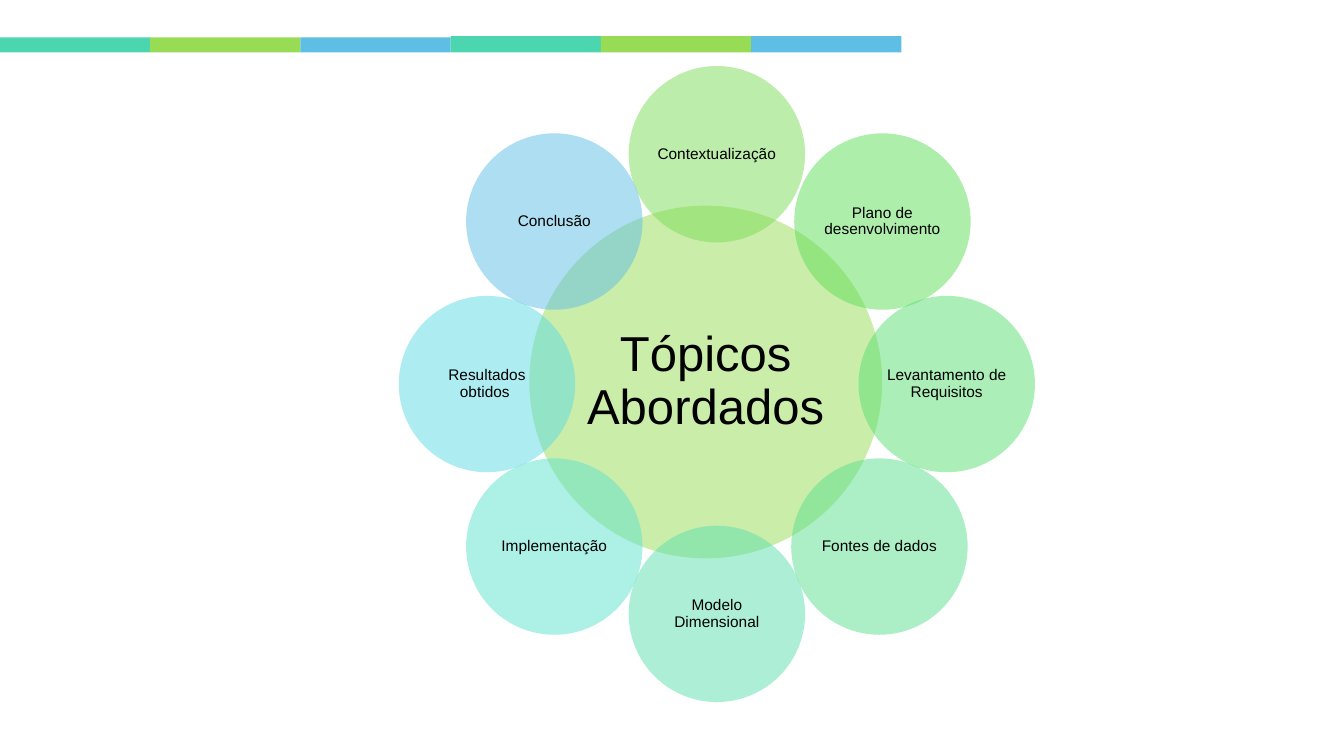
import math

from lxml import etree
from pptx import Presentation
from pptx.dml.color import RGBColor
from pptx.enum.shapes import MSO_SHAPE
from pptx.enum.text import MSO_ANCHOR, MSO_AUTO_SIZE, PP_ALIGN
from pptx.oxml.ns import qn
from pptx.util import Inches, Pt

RECTANGLE = MSO_SHAPE.RECTANGLE
OVAL = MSO_SHAPE.OVAL
MIDDLE = MSO_ANCHOR.MIDDLE
CENTER = PP_ALIGN.CENTER
NO_AUTOFIT = MSO_AUTO_SIZE.NONE
TITLE_ONLY = 5

COLORS = {
    "text": "000000",
    "teal": "4CD6B0",
    "lime": "98DC56",
    "blue": "5EBEE4",
}
STRIPE = ("teal", "lime", "blue")
STRIPE_WIDTH = 1.49

TOPICS = [
    ("Contextualização", "7BDD57", 0),
    ("Plano de desenvolvimento", "5EDE58", 0.03),
    ("Levantamento de Requisitos", "59DF70", 0),
    ("Fontes de dados", "5AE08F", 0),
    ("Modelo Dimensional", "5BE1AE", 0),
    ("Implementação", "5CE2CD", 0),
    ("Resultados obtidos ", "5DDBE3", 0),
    ("Conclusão", COLORS["blue"], 0),
]
RING_X, RING_Y, RING_RADIUS = 7.11, 3.81, 2.28
HUB_X, HUB_Y, HUB_SIZE = 7, 3.79, 3.5
TOPIC_SIZE = 1.75


def add_filled(slide, kind, left, top, width, height, color):
    shape = slide.shapes.add_shape(
        kind, Inches(left), Inches(top), Inches(width), Inches(height))
    shape.shadow.inherit = False
    shape.fill.solid()
    shape.fill.fore_color.rgb = RGBColor.from_string(color)
    shape.line.fill.background()
    return shape


def add_circle(slide, center_x, center_y, size, color):
    circle = add_filled(slide, OVAL, center_x - size / 2, center_y - size / 2,
                        size, size, color)
    fill_color = circle.fill._xPr.find(qn("a:solidFill"))[0]
    etree.SubElement(fill_color, qn("a:alpha"), val="50000")
    return circle


def write_centered(shape, text, size, inset):
    frame = shape.text_frame
    frame.text = text
    margins = dict.fromkeys(
        ("margin_left", "margin_top", "margin_right", "margin_bottom"),
        Inches(inset))
    frame_format = {"word_wrap": True, "auto_size": NO_AUTOFIT,
                    "vertical_anchor": MIDDLE, **margins}
    paragraph = frame.paragraphs[0]
    paragraph_format = {"alignment": CENTER, "line_spacing": 0.9,
                        "space_before": Pt(0)}
    font = paragraph.runs[0].font
    font_format = {"name": "Arial", "size": Pt(size)}
    for target, values in ((frame, frame_format),
                           (paragraph, paragraph_format),
                           (font, font_format)):
        for attribute, value in values.items():
            setattr(target, attribute, value)
    font.color.rgb = RGBColor.from_string(COLORS["text"])


def add_stripes(slide):
    for index, color in enumerate(STRIPE * 2):
        top, height = (0.37, 0.15) if index < len(STRIPE) else (0.36, 0.16)
        add_filled(slide, RECTANGLE, index * STRIPE_WIDTH, top,
                   STRIPE_WIDTH, height, COLORS[color])


def add_hub(slide):
    hub = add_circle(slide, HUB_X, HUB_Y, HUB_SIZE, COLORS["lime"])
    side = HUB_SIZE / math.sqrt(2)
    title = slide.shapes.title
    title.left, title.top = Inches(HUB_X - side / 2), Inches(HUB_Y - side / 2)
    title.width = title.height = Inches(side)
    write_centered(title, "Tópicos Abordados", 35, 0.05)
    hub._element.addnext(title._element)


def add_topics(slide):
    for index, (topic, color, shift) in enumerate(TOPICS):
        angle = math.tau * index / len(TOPICS)
        circle = add_circle(slide,
                            RING_X + RING_RADIUS * math.sin(angle) + shift,
                            RING_Y - RING_RADIUS * math.cos(angle),
                            TOPIC_SIZE, color)
        write_centered(circle, topic, 11, 0.02)


def main():
    presentation = Presentation()
    presentation.slide_width = Inches(13.33)
    presentation.slide_height = Inches(7.5)
    slide = presentation.slides.add_slide(
        presentation.slide_layouts[TITLE_ONLY])
    add_stripes(slide)
    add_hub(slide)
    add_topics(slide)
    presentation.save("out.pptx")


if __name__ == "__main__":
    main()
